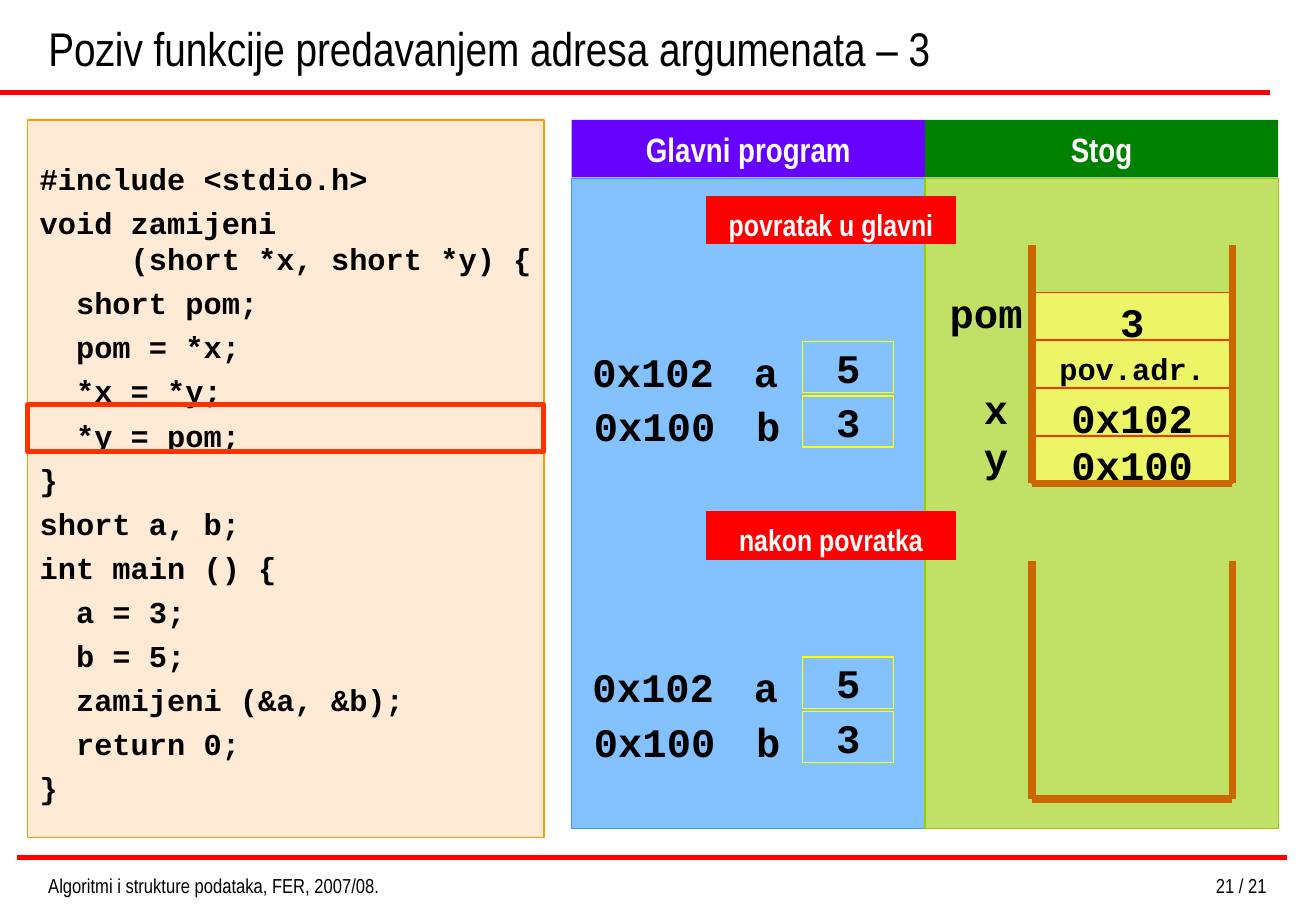
"""Builds the slide on calling a C function with argument addresses."""
import pptx
import pptx.util
import pptx.dml.color
import pptx.enum.shapes
import pptx.enum.text
import pptx.oxml.ns
import lxml.etree

Cm = pptx.util.Cm
Pt = pptx.util.Pt
ALIGN = pptx.enum.text.PP_ALIGN
ANCHOR = pptx.enum.text.MSO_ANCHOR

COLORS = {
    "black": "000000", "white": "FFFFFF", "red": "FF0000", "peach": "FFCC99",
    "orange": "FF9900", "lime": "99CC00", "blue": "3399FF", "purple": "6600FF",
    "green": "008000", "pale": "FFFF66", "scarlet": "FF3300", "yellow": "FFFF00",
    "brown": "CC6600",
}
SANS, MONO = "Arial Narrow", "Courier New"

TITLE = "Poziv funkcije predavanjem adresa argumenata – 3"
CODE = [
    "#include <stdio.h>",
    "void zamijeni\n     (short *x, short *y) {",
    "  short pom;",
    "  pom = *x;",
    "  *x = *y;",
    "  *y = pom;",
    "}",
    "short a, b;",
    "int main () {",
    "  a = 3;",
    "  b = 5;",
    "  zamijeni (&a, &b);",
    "  return 0;",
    "}",
]
COLUMNS = [("Glavni program", "purple", "blue"), ("Stog", "green", "lime")]
STATES = ["povratak u glavni", "nakon povratka"]
VARIABLES = [("0x102", "a", "5"), ("0x100", "b", "3")]
STACK = [("pom", "3", 24), ("", "pov.adr.", 18), ("x", "0x102", 24), ("y", "0x100", 24)]
FOOTERS = [
    ("Algoritmi i strukture podataka, FER, 2007/08.", 0.76, 9.6, ALIGN.LEFT),
    ("21 / 21", 19.71, 7.04, ALIGN.RIGHT),
]
RULES = [(0, 1.93), (0.36, 17.93)]
RULE_LENGTH = 26.57

CODE_LEFT, CODE_WIDTH = 0.58, 10.8
PANEL_TOP = 2.51
COLUMN_LEFT, COLUMN_WIDTH = 11.96, 7.39
STATE_STEP = 6.6
VARIABLE_STEP = 1.14
STACK_LEFT, STACK_WIDTH, STACK_STEP = 21.59, 4.19, 1.0


def rgb(name):
    return pptx.dml.color.RGBColor.from_string(COLORS[name])


def write(box, lines, size, font, color="black", align=ALIGN.CENTER,
          anchor=ANCHOR.MIDDLE, bold=True, gap=0, top=0.13, wrap=False):
    frame = box.text_frame
    frame.word_wrap = wrap
    frame.auto_size = pptx.enum.text.MSO_AUTO_SIZE.NONE
    frame.vertical_anchor = anchor
    frame.margin_left = frame.margin_right = Cm(0.25)
    frame.margin_top, frame.margin_bottom = Cm(top), Cm(0.13)
    for index, line in enumerate(lines):
        para = frame.add_paragraph() if index else frame.paragraphs[0]
        para.alignment = align
        para.space_before = Pt(gap if index else 0)
        for part_index, part in enumerate(line.split("\n")):
            if part_index:
                para.add_line_break()
            span = para.add_run()
            span.text = part
            span.font.size, span.font.name, span.font.bold = Pt(size), font, bold
            span.font.color.rgb = rgb(color)


def add_box(page, left, top, width, height, fill=None, line=None, weight=0.75, alpha=100):
    box = page.shapes.add_shape(pptx.enum.shapes.MSO_SHAPE.RECTANGLE,
                                Cm(left), Cm(top), Cm(width), Cm(height))
    box.shadow.inherit = False
    if fill:
        box.fill.solid()
        box.fill.fore_color.rgb = rgb(fill)
        if alpha < 100:
            tone = box.fill._xPr.find(".//" + pptx.oxml.ns.qn("a:srgbClr"))
            lxml.etree.SubElement(tone, pptx.oxml.ns.qn("a:alpha"), val=str(alpha * 1000))
    else:
        box.fill.background()
    if line:
        box.line.color.rgb = rgb(line)
        box.line.width = Pt(weight)
    else:
        box.line.fill.background()
    return box


def add_label(page, text, left, top, width, size=24, font=MONO, height=0.84, **style):
    label = page.shapes.add_textbox(Cm(left), Cm(top), Cm(width), Cm(height))
    write(label, [text], size, font, **style)


def add_line(page, x1, y1, x2, y2, color, weight):
    line = page.shapes.add_connector(pptx.enum.shapes.MSO_CONNECTOR.STRAIGHT,
                                     Cm(x1), Cm(y1), Cm(x2), Cm(y2))
    line.line.color.rgb = rgb(color)
    line.line.width = Pt(weight)
    lxml.etree.SubElement(line._element.spPr, pptx.oxml.ns.qn("a:effectLst"))


def add_stack_cells(page):
    for row, (name, value, size) in enumerate(STACK):
        top = 6.12 + row * STACK_STEP
        cell = add_box(page, STACK_LEFT, top, STACK_WIDTH, 0.99, "pale", "scarlet", alpha=70)
        write(cell, [value], size, MONO, top=0.34 if size == 24 else 0.29)
        if name:
            width = 1.32 if len(name) > 1 else 0.91
            add_label(page, name, 21.29 - width, top, width)


def add_state(page, caption, shift):
    badge = add_box(page, 14.78, 4.11 + shift, 5.21, 0.99, "red", "red")
    write(badge, [caption], 18, SANS, "white", top=0.29)
    for row, (address, name, value) in enumerate(VARIABLES):
        top = 7.14 + shift + row * VARIABLE_STEP
        write(add_box(page, 16.79, top, 1.91, 1.07, line="yellow"), [value], 24, MONO)
        add_label(page, name, 15.57 + row * 0.05, top + 0.2, 0.91)
        add_label(page, address, 12.37 + row * 0.03, top + 0.2, 2.59)
    right, top, bottom = STACK_LEFT + STACK_WIDTH, 5.13 + shift, 10.11 + shift
    for x in (STACK_LEFT, right):
        add_line(page, x, top, x, bottom, "brown", 4.5)
    add_line(page, STACK_LEFT, bottom, right, bottom, "brown", 4.5)


def main():
    deck = pptx.Presentation()
    deck.slide_width, deck.slide_height = Cm(27.53), Cm(19.05)
    page = deck.slides.add_slide(deck.slide_layouts[5])

    for left, top in RULES:
        add_line(page, left, top, left + RULE_LENGTH, top, "red", 3)
    title = page.shapes.title
    title.left, title.top, title.width, title.height = Cm(0.76), Cm(0), Cm(25.81), Cm(1.73)
    write(title, [TITLE], 28, SANS, align=ALIGN.LEFT, anchor=ANCHOR.BOTTOM,
          bold=False, wrap=True)

    listing = add_box(page, CODE_LEFT, PANEL_TOP, CODE_WIDTH, 15.01, "peach", "orange", alpha=40)
    write(listing, CODE, 18, MONO, align=ALIGN.LEFT, gap=4.5, top=0.29)

    for index, (heading, head_color, body_color) in enumerate(COLUMNS):
        left = COLUMN_LEFT + index * COLUMN_WIDTH
        add_box(page, left, 3.73, COLUMN_WIDTH, 13.59, body_color, body_color, alpha=60)
        header = add_box(page, left, PANEL_TOP, COLUMN_WIDTH, 1.2, head_color)
        write(header, [heading], 20, SANS, "white")

    add_stack_cells(page)
    for index, caption in enumerate(STATES):
        add_state(page, caption, index * STATE_STEP)
    add_box(page, CODE_LEFT, 8.46, CODE_WIDTH, 0.99, line="scarlet", weight=3)

    for text, left, width, align in FOOTERS:
        add_label(page, text, left, 18.14, width, 12, SANS, 0.61, align=align,
                  anchor=ANCHOR.TOP, bold=False, wrap=True)
    deck.save("out.pptx")


if __name__ == "__main__":
    main()
